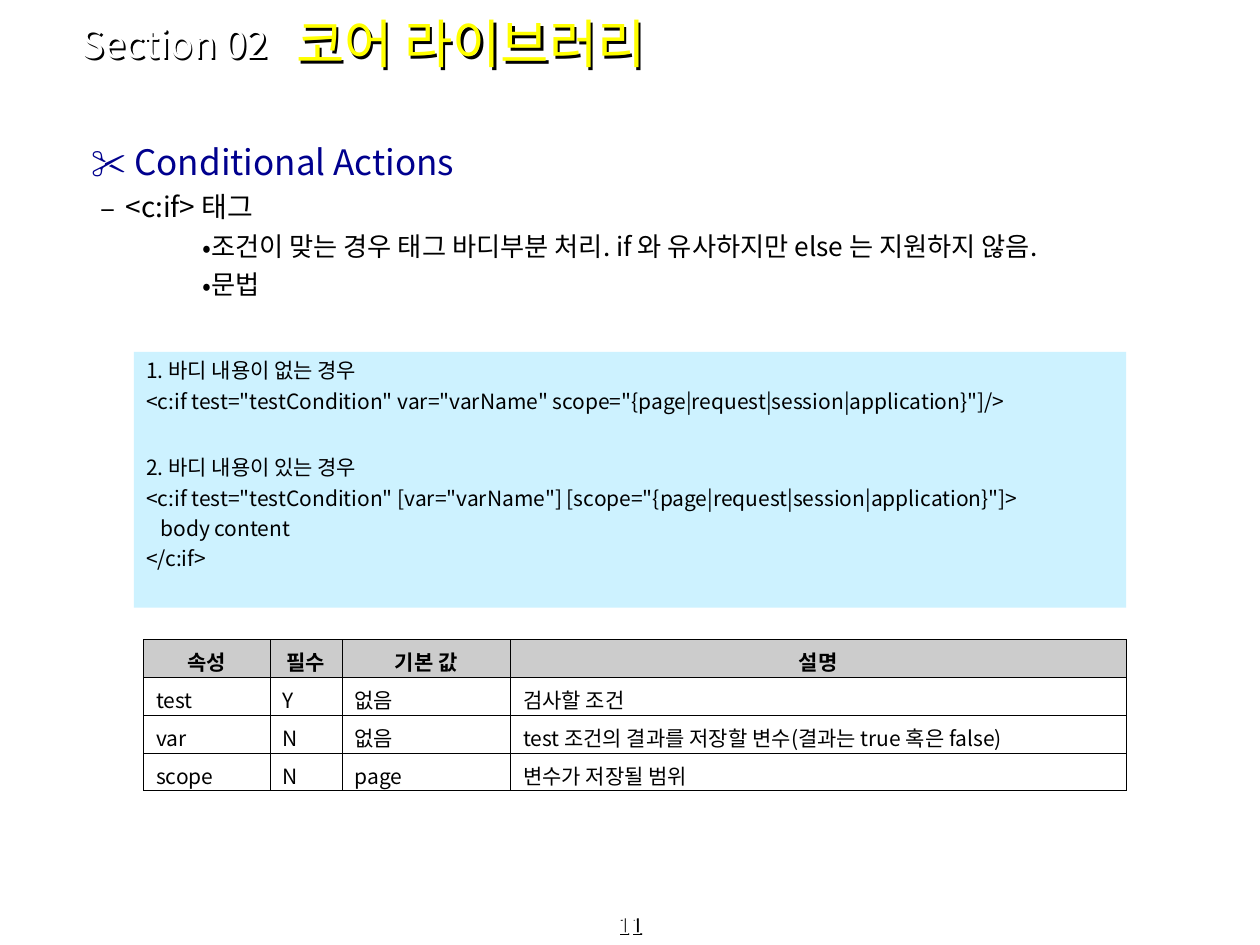
from pptx import Presentation
from pptx.dml.color import RGBColor
from pptx.enum.shapes import MSO_SHAPE as SHAPE
from pptx.enum.text import MSO_ANCHOR as ANCHOR, PP_ALIGN as ALIGN
from pptx.oxml.ns import qn
from pptx.util import Pt
from lxml.etree import SubElement

FONT = "Noto Sans CJK KR"
COLORS = {"black": "000000", "white": "FFFFFF", "yellow": "FFFF00",
          "navy": "00008E", "code": "CDF2FF", "header": "CCCCCC"}
LINE_SPACING = 1.0

# text, size, colour, bullet, left margin, first-line indent, space before
OUTLINE = [
    ("Conditional Actions", 20, "navy", "✂", 33, -24.5, 0),
    ("<c:if> 태그", 16, "black", "–", 28, -14.4, 4),
    ("조건이 맞는 경우 태그 바디부분 처리. if 와 유사하지만 else 는 지원하지 않음.",
     15, "black", "•", 42.5, 29.5, 3.7),
    ("문법", 15, "black", "•", 42.5, 29.5, 3.7),
]
SYNTAX = [
    ("1. 바디 내용이 없는 경우", 0),
    ('<c:if test="testCondition" var="varName" '
     'scope="{page|request|session|application}"]/>', 3),
    ("2. 바디 내용이 있는 경우", 23.4),
    ('<c:if test="testCondition" [var="varName"] '
     '[scope="{page|request|session|application}"]>', 3),
    ("   body content", 3),
    ("</c:if>", 3),
]
ATTRIBUTES = [
    ("속성", "필수", "기본 값", "설명"),
    ("test", "Y", "없음", "검사할 조건"),
    ("var", "N", "없음", "test 조건의 결과를 저장할 변수(결과는 true 혹은 false)"),
    ("scope", "N", "page", "변수가 저장될 범위"),
]
COLUMN_WIDTHS = (72.2, 41.2, 96.4, 351.6)
ROW_HEIGHT = 21.6


def rgb(name):
    return RGBColor.from_string(COLORS[name])


def add_text(frame, text, size=12, color="black", bold=False, align=ALIGN.LEFT,
             before=0, spacing=None, bullet=None, margin=0, indent=0):
    """Write text into the frame's empty first paragraph, or into a new one."""
    first = frame.paragraphs[0]
    paragraph = frame.add_paragraph() if first.runs else first
    properties = paragraph._p.get_or_add_pPr()
    properties.set("marL", str(Pt(margin)))
    properties.set("indent", str(Pt(indent)))
    if bullet:
        SubElement(properties, qn("a:buFont"), typeface=FONT)
        SubElement(properties, qn("a:buChar"), char=bullet)
    paragraph.alignment = align
    paragraph.space_before = Pt(before)
    if spacing:
        paragraph.line_spacing = spacing
    run = paragraph.add_run()
    run.text = text
    run.font.name = FONT
    run.font.size = Pt(size)
    run.font.bold = bold
    run.font.color.rgb = rgb(color)
    SubElement(run._r.get_or_add_rPr(), qn("a:ea"), typeface=FONT)


def format_frame(frame, anchor):
    frame.word_wrap = True
    frame.vertical_anchor = anchor
    frame.margin_left = frame.margin_right = Pt(7.2)
    frame.margin_top = frame.margin_bottom = Pt(3.6)


def add_box(slide, left, top, width, height, anchor=ANCHOR.TOP):
    box = slide.shapes.add_textbox(Pt(left), Pt(top), Pt(width), Pt(height))
    format_frame(box.text_frame, anchor)
    return box


def add_shadow(shape, distance):
    effects = SubElement(shape._element.spPr, qn("a:effectLst"))
    shadow = SubElement(effects, qn("a:outerShdw"), dist=str(Pt(distance)),
                        dir="2700000", algn="ctr", rotWithShape="0")
    SubElement(shadow, qn("a:srgbClr"), val=COLORS["black"])


def add_heading(slide):
    title = slide.shapes.title
    title.left, title.top, title.width, title.height = Pt(162), Pt(0), Pt(460), Pt(49)
    format_frame(title.text_frame, ANCHOR.MIDDLE)
    add_text(title.text_frame, "코어 라이브러리", size=30, color="yellow")
    add_shadow(title, 2)
    section = add_box(slide, 39.6, 11.5, 139, 26.6, ANCHOR.MIDDLE)
    add_text(section.text_frame, "Section 02", size=22, color="white")
    add_shadow(section, 1.5)


def add_outline(slide):
    frame = add_box(slide, 36.7, 77, 648, 120).text_frame
    for text, size, color, bullet, margin, indent, before in OUTLINE:
        add_text(frame, text, size=size, color=color, bullet=bullet, margin=margin,
                 indent=indent, before=before, spacing=LINE_SPACING)


def add_syntax(slide):
    panel = slide.shapes.add_shape(SHAPE.RECTANGLE, Pt(76.5), Pt(201), Pt(567), Pt(146.3))
    panel.shadow.inherit = False
    panel.fill.solid()
    panel.fill.fore_color.rgb = rgb("code")
    panel.line.fill.background()
    format_frame(panel.text_frame, ANCHOR.TOP)
    for text, before in SYNTAX:
        add_text(panel.text_frame, text, before=before, spacing=LINE_SPACING,
                 margin=7.2, indent=-7.2)


def add_borders(cell):
    properties = cell._tc.get_or_add_tcPr()
    for position, side in enumerate(("lnL", "lnR", "lnT", "lnB")):
        line = properties.makeelement(qn(f"a:{side}"), {"w": str(Pt(0.45))})
        fill = SubElement(line, qn("a:solidFill"))
        SubElement(fill, qn("a:srgbClr"), val=COLORS["black"])
        properties.insert(position, line)


def add_attribute_table(slide):
    table = slide.shapes.add_table(
        len(ATTRIBUTES), len(COLUMN_WIDTHS), Pt(82), Pt(365.5),
        Pt(sum(COLUMN_WIDTHS)), Pt(ROW_HEIGHT * len(ATTRIBUTES))).table
    for column, width in zip(table.columns, COLUMN_WIDTHS):
        column.width = Pt(width)
    for row_index, values in enumerate(ATTRIBUTES):
        table.rows[row_index].height = Pt(ROW_HEIGHT)
        header = row_index == 0
        for column_index, value in enumerate(values):
            cell = table.cell(row_index, column_index)
            cell.vertical_anchor = ANCHOR.MIDDLE
            cell.margin_left = cell.margin_right = Pt(7.2)
            cell.margin_top, cell.margin_bottom = Pt(3.6), Pt(0)
            cell.fill.solid()
            cell.fill.fore_color.rgb = rgb("header" if header else "white")
            add_borders(cell)
            add_text(cell.text_frame, value, bold=header,
                     align=ALIGN.CENTER if header else ALIGN.JUSTIFY)


def add_page_number(slide):
    box = add_box(slide, 0, 524, 720, 16, ANCHOR.BOTTOM)
    add_text(box.text_frame, "11", size=13, color="white", align=ALIGN.CENTER)
    add_shadow(box, 1)


def main():
    presentation = Presentation()
    presentation.slide_width, presentation.slide_height = Pt(720), Pt(540)
    slide = presentation.slides.add_slide(presentation.slide_layouts[5])
    add_heading(slide)
    add_outline(slide)
    add_syntax(slide)
    add_attribute_table(slide)
    add_page_number(slide)
    presentation.save("out.pptx")


if __name__ == "__main__":
    main()
